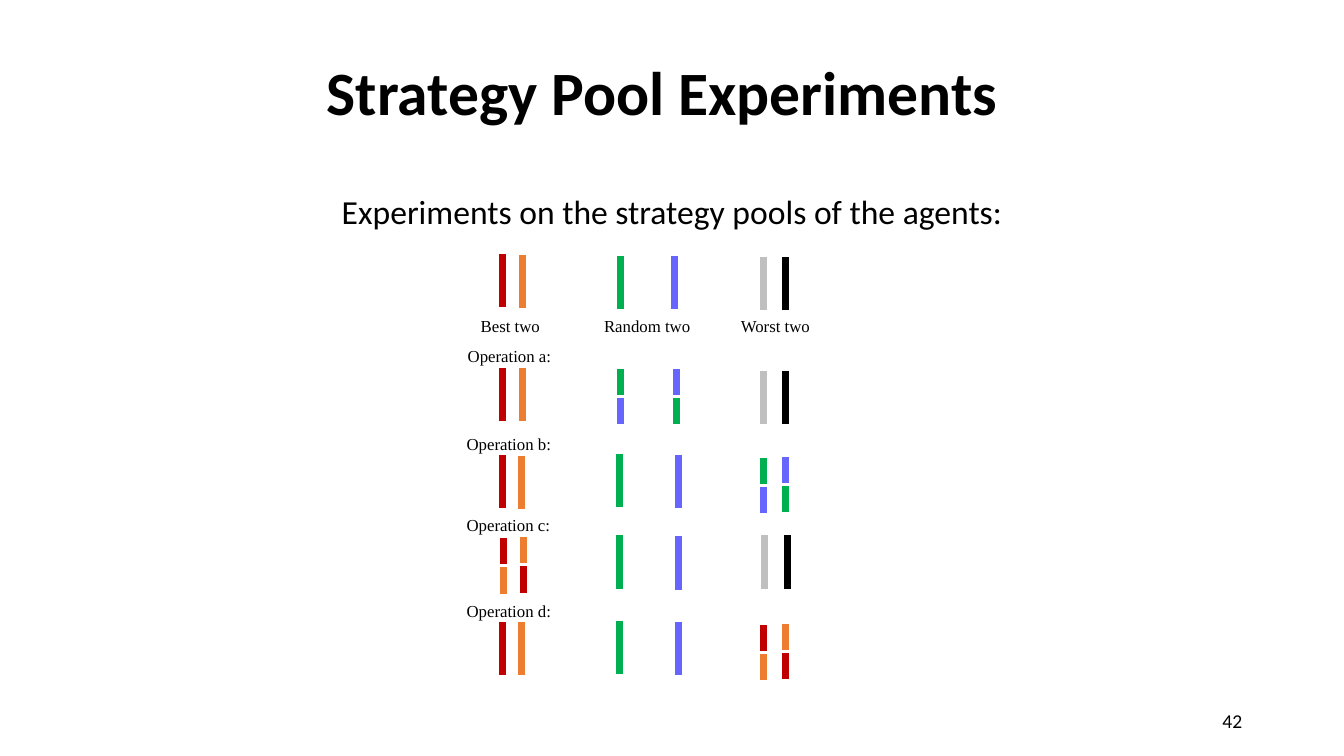
import dataclasses

import pptx
import pptx.dml.color
import pptx.enum.shapes
import pptx.enum.text
import pptx.oxml
import pptx.util

Inches = pptx.util.Inches
Align = pptx.enum.text.PP_ALIGN
Anchor = pptx.enum.text.MSO_ANCHOR


@dataclasses.dataclass(frozen=True)
class Theme:
    sans: str = "Calibri"
    serif: str = "Times New Roman"
    ink: str = "000000"
    red: str = "C00000"
    orange: str = "ED7D31"
    green: str = "00B050"
    blue: str = "6666FF"
    grey: str = "BFBFBF"
    title_size: int = 44
    lead_size: int = 24
    number_size: int = 14
    label_size: int = 12
    bar_width: int = 5


class PoolSlide:
    bar_length = 0.53
    half_length = 0.26
    half_step = 0.29

    def __init__(self, theme):
        self.theme = theme
        self.deck = pptx.Presentation()
        self.deck.slide_width = Inches(13.33)
        self.deck.slide_height = Inches(7.5)
        self.page = self.deck.slides.add_slide(self.deck.slide_layouts[6])

    def text(self, words, area, size, face, anchor=Anchor.TOP, bold=False, **para_format):
        box = self.page.shapes.add_textbox(*map(Inches, area))
        frame = box.text_frame
        frame.word_wrap = True
        frame.vertical_anchor = anchor
        para = frame.paragraphs[0]
        for name, value in para_format.items():
            setattr(para, name, value)
        span = para.add_run()
        span.text = words
        font_format = {"name": face, "size": pptx.util.Pt(size), "bold": bold}
        for name, value in font_format.items():
            setattr(span.font, name, value)
        span.font.color.rgb = pptx.dml.color.RGBColor.from_string(self.theme.ink)

    def label(self, words, area, alignment=Align.LEFT):
        self.text(words, area, self.theme.label_size, self.theme.serif, alignment=alignment,
                  line_spacing=1.05, space_after=pptx.util.Pt(8))

    def bar(self, x, top, length, color):
        bar = self.page.shapes.add_connector(
            pptx.enum.shapes.MSO_CONNECTOR.STRAIGHT,
            Inches(x), Inches(top), Inches(x), Inches(top + length))
        bar.line.width = pptx.util.Pt(self.theme.bar_width)
        bar.line.color.rgb = pptx.dml.color.RGBColor.from_string(color)
        effects = pptx.oxml.parse_xml(
            '<a:effectLst xmlns:a="http://schemas.openxmlformats.org/drawingml/2006/main"/>')
        bar.element.spPr.append(effects)

    def whole_pair(self, columns, tops, colors):
        for x, top, color in zip(columns, tops, colors):
            self.bar(x, top, self.bar_length, color)

    def crossed_pair(self, columns, tops, colors):
        for x, top, halves in zip(columns, tops, (colors, colors[::-1])):
            for index, color in enumerate(halves):
                self.bar(x, top + index * self.half_step, self.half_length, color)

    def save(self):
        self.deck.save("out.pptx")


def main():
    theme = Theme()
    slide = PoolSlide(theme)
    slide.text("Strategy Pool Experiments", (1.57, 0.55, 10, 0.78), theme.title_size, theme.sans,
               anchor=Anchor.BOTTOM, bold=True, alignment=Align.CENTER, line_spacing=0.9)
    slide.text("42", (9.42, 6.95, 3, 0.4), theme.number_size, theme.sans,
               anchor=Anchor.MIDDLE, alignment=Align.RIGHT)
    slide.text("Experiments on the strategy pools of the agents:", (0.86, 1.82, 11.61, 0.51),
               theme.lead_size, theme.sans, alignment=Align.CENTER, line_spacing=1.07)

    for words, left, width, alignment in (
        ("Best two", 4.67, 0.83, Align.LEFT),
        ("Random two ", 5.88, 1.12, Align.CENTER),
        ("Worst two ", 7.23, 0.92, Align.CENTER),
    ):
        slide.label(words, (left, 3.07, width, 0.29), alignment)
    for letter, left, top in (("a", 4.54, 3.37), ("b", 4.53, 4.24), ("c", 4.53, 5.05), ("d", 4.53, 5.9)):
        slide.label(f"Operation {letter}:", (left, top, 1.08, 0.34))

    best = (theme.red, theme.orange)
    random = (theme.green, theme.blue)
    worst = (theme.grey, theme.ink)
    whole, crossed = slide.whole_pair, slide.crossed_pair
    for draw, columns, tops, colors in (
        (whole, (4.98, 5.18), (2.52, 2.53), best),
        (whole, (6.15, 6.69), (2.54, 2.54), random),
        (whole, (7.57, 7.79), (2.55, 2.55), worst),
        (whole, (4.98, 5.18), (3.65, 3.65), best),
        (crossed, (6.15, 6.71), (3.66, 3.66), random),
        (whole, (7.57, 7.79), (3.68, 3.68), worst),
        (whole, (4.98, 5.17), (4.51, 4.52), best),
        (whole, (6.14, 6.73), (4.5, 4.51), random),
        (crossed, (7.57, 7.79), (4.54, 4.53), random),
        (crossed, (4.99, 5.19), (5.34, 5.33), best),
        (whole, (6.14, 6.73), (5.31, 5.32), random),
        (whole, (7.58, 7.81), (5.31, 5.31), worst),
        (whole, (4.98, 5.17), (6.17, 6.17), best),
        (whole, (6.14, 6.73), (6.16, 6.17), random),
        (crossed, (7.57, 7.79), (6.2, 6.19), best),
    ):
        draw(columns, tops, colors)
    slide.save()


if __name__ == "__main__":
    main()
